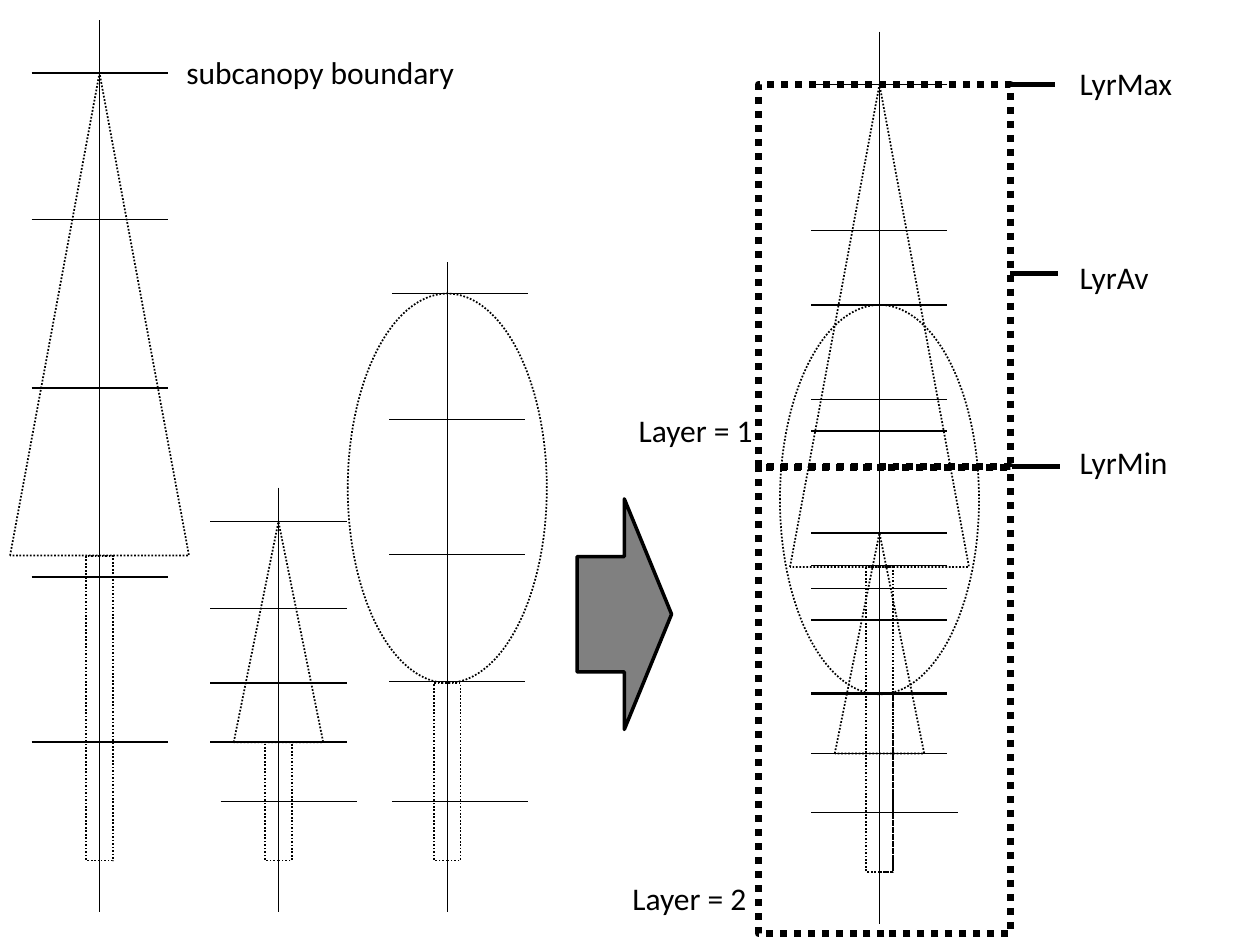
from pptx import Presentation
from pptx.dml.color import RGBColor
from pptx.enum.dml import MSO_LINE as Dash
from pptx.enum.shapes import MSO_CONNECTOR as Link, MSO_SHAPE as Kind
from pptx.enum.text import MSO_AUTO_SIZE as Fit
from pptx.util import Inches, Pt
from lxml.etree import SubElement
from pptx.oxml.ns import qn

BLACK, GREY = "000000", "808080"
CONE, OVAL = Kind.ISOSCELES_TRIANGLE, Kind.OVAL
FOOT, TRUNK, CUT = 6.83, 0.21, 1.08

# Each cut: height, shift from the axis alone, shift when merged (None: not merged)
TREES = [
    dict(axis=0.79, tip=0.16, crown=CONE, wide=1.42, top=0.58, base=4.41,
         cuts=[(0.58, 0, 0), (1.74, 0, 0), (4.58, 0, 0), (3.08, 0, 0), (5.89, 0, None)]),
    dict(axis=2.21, tip=3.87, crown=CONE, wide=0.71, top=4.14, base=5.89,
         cuts=[(4.14, 0, 0), (4.83, 0, 0), (5.89, 0, 0), (5.42, 0, 0), (6.36, 0.08, 0.08)]),
    dict(axis=3.55, tip=2.08, crown=OVAL, wide=1.58, top=2.33, base=5.42,
         cuts=[(2.33, 0.1, 0), (3.33, 0.08, 0), (5.41, 0.08, 0), (4.4, 0.08, 0),
               (6.36, 0.1, 0)]),
]
MERGED, DROP, ROOT = 6.98, 0.09, 7.24

LEFT, WIDE = 6.02, 2
LAYERS = [(3.7, 3.71), (0.67, 3.04)]
TICKS = [(8.02, 2.17), (7.99, 0.67), (8.03, 3.7)]
LABELS = [
    ("Layer = 1", 4.97, 3.21, 1.12),
    ("Layer = 2", 4.92, 6.93, 1.12),
    ("LyrAv", 8.47, 2, 0.76),
    ("LyrMax", 8.47, 0.46, 0.94),
    ("LyrMin", 8.47, 3.47, 0.91),
    ("subcanopy boundary", 1.38, 0.37, 2.41),
]

deck = Presentation()
deck.slide_width, deck.slide_height = Inches(10), Inches(7.5)
slide = deck.slides.add_slide(deck.slide_layouts[6])


def color(code):
    return RGBColor.from_string(code)


def shape(kind, x, y, w, h, line=1, fill=None, dash=Dash.ROUND_DOT):
    item = slide.shapes.add_shape(kind, *map(Inches, (x, y, w, h)))
    item.shadow.inherit = False
    if fill:
        item.fill.solid()
        item.fill.fore_color.rgb = color(fill)
    else:
        item.fill.background()
    item.line.color.rgb = color(BLACK)
    item.line.width = Pt(line)
    if dash:
        item.line.dash_style = dash


def rule(x1, y1, x2, y2, width=0.75):
    item = slide.shapes.add_connector(Link.STRAIGHT, *map(Inches, (x1, y1, x2, y2)))
    item.line.color.rgb = color(BLACK)
    item.line.width = Pt(width)
    SubElement(item._element.spPr, qn("a:effectLst"))


def text(words, x, y, w, h=0.4, size=18, font="Calibri", ink=BLACK):
    frame = slide.shapes.add_textbox(*map(Inches, (x, y, w, h))).text_frame
    frame.word_wrap = False
    frame.auto_size = Fit.SHAPE_TO_FIT_TEXT
    run = frame.paragraphs[0].add_run()
    run.text = words
    run.font.size, run.font.name = Pt(size), font
    run.font.color.rgb = color(ink)


def tree(spec, axis, drop, merged):
    wide, top, base = spec["wide"], spec["top"], spec["base"]
    shape(spec["crown"], axis - wide / 2, top + drop, wide, base - top)
    shape(Kind.RECTANGLE, axis - TRUNK / 2, base + drop, TRUNK, FOOT - base)
    for y, alone, joint in spec["cuts"]:
        shift = joint if merged else alone
        if shift is not None:
            start = axis + shift - CUT / 2
            rule(start, y + drop, start + CUT, y + drop)


for spec in TREES:
    tree(spec, spec["axis"], 0, False)
    rule(spec["axis"], spec["tip"], spec["axis"], ROOT)

for spec in TREES:
    tree(spec, MERGED, DROP, True)
rule(MERGED, TREES[0]["tip"] + DROP, MERGED, ROOT + DROP)

shape(Kind.RIGHT_ARROW, 4.58, 3.96, 0.75, 1.83, line=2, fill=GREY, dash=None)
for y, h in LAYERS:
    shape(Kind.RECTANGLE, LEFT, y, WIDE, h, line=4)
for x, y in TICKS:
    rule(x, y, x + 0.38, y, width=3)
for label in LABELS:
    text(*label)

deck.save("out.pptx")
